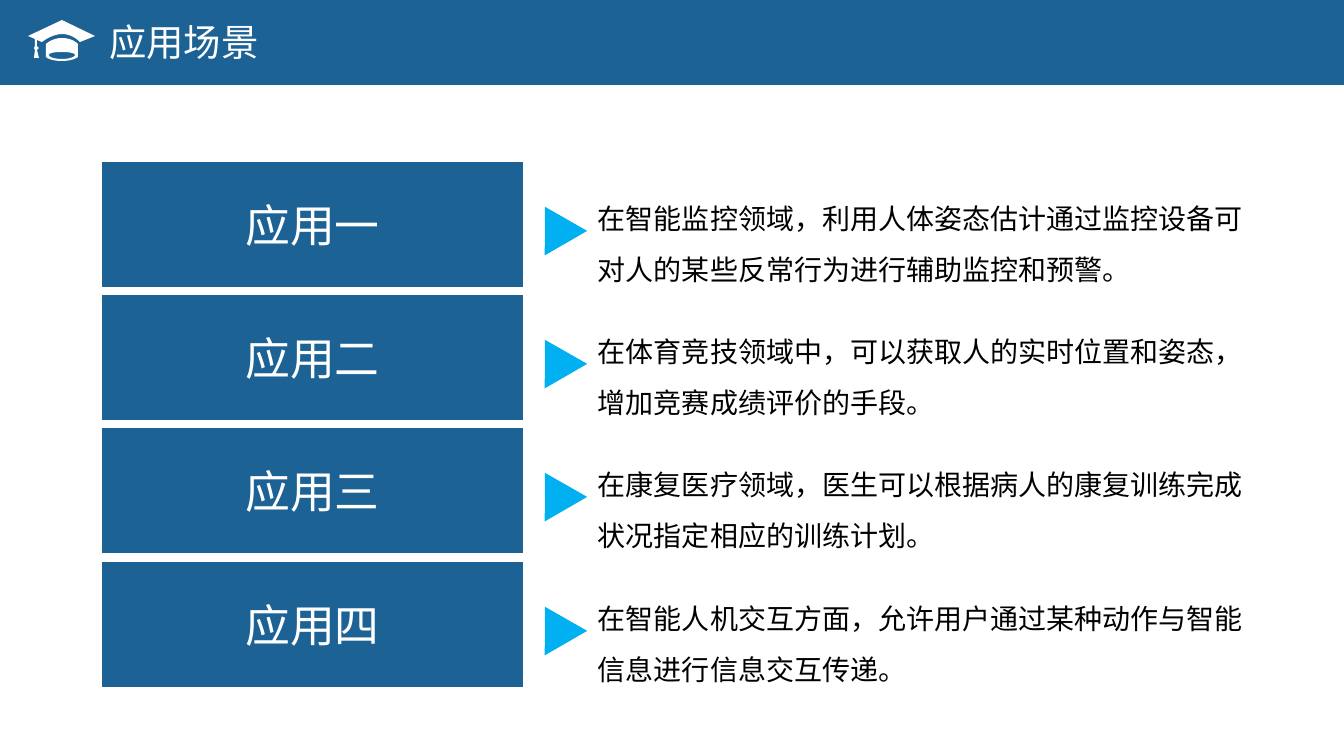
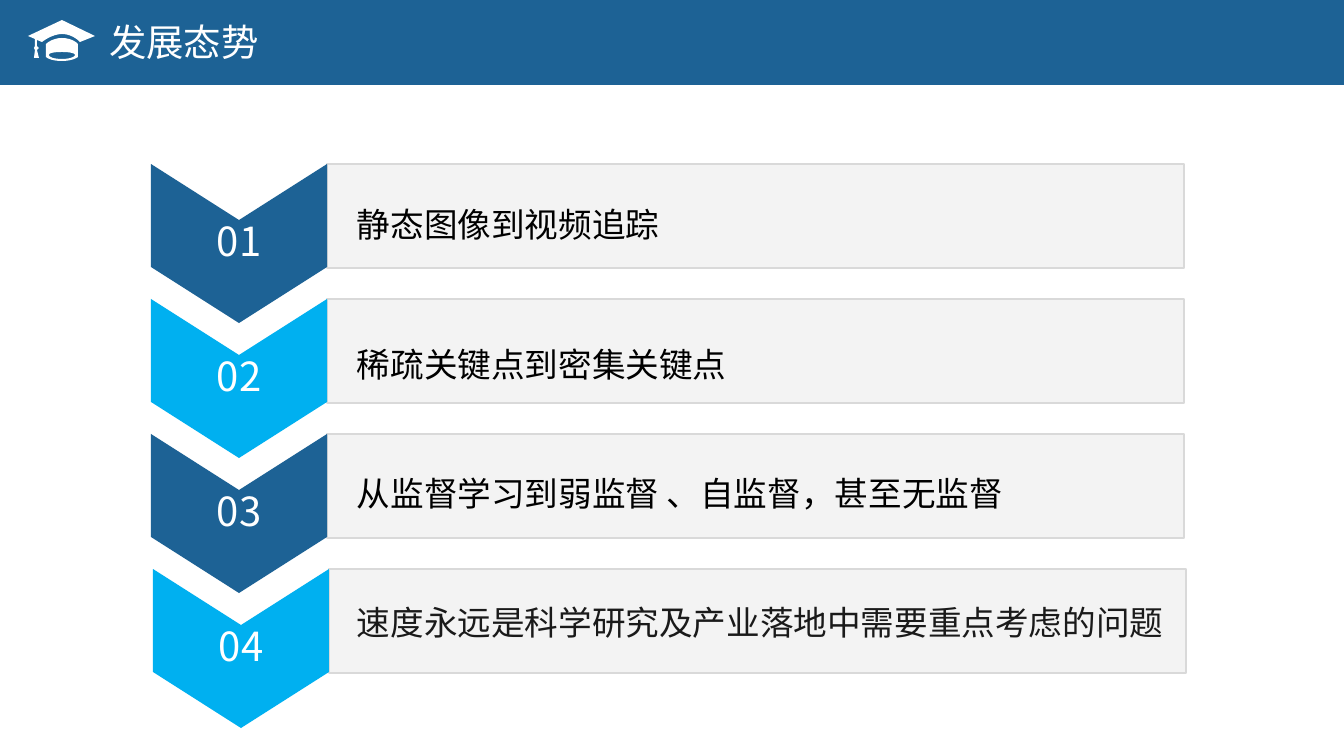
import lxml.etree
import pptx
import pptx.dml.color
import pptx.enum.shapes
import pptx.enum.text
import pptx.oxml.ns
import pptx.util

EMU_PER_PIXEL = 914400 / 100.8
COLORS = {"blue": "1D6295", "cyan": "00B0F0", "panel": "F2F2F2", "edge": "D9D9D9",
          "white": "FFFFFF", "black": "000000", "charcoal": "1A1A1A"}
MAIN_FONT = "Noto Sans CJK SC"
BODY_FONT = "Arial Narrow"
SHAPES = pptx.enum.shapes.MSO_SHAPE
ALIGN = pptx.enum.text.PP_ALIGN
ANCHOR = pptx.enum.text.MSO_ANCHOR

APPLICATIONS = [
    ("应用一", "在智能监控领域，利用人体姿态估计通过监控设备可对人的某些反常行为进行辅助监控和预警。"),
    ("应用二", "在体育竞技领域中，可以获取人的实时位置和姿态，增加竞赛成绩评价的手段。"),
    ("应用三", "在康复医疗领域，医生可以根据病人的康复训练完成状况指定相应的训练计划。"),
    ("应用四", "在智能人机交互方面，允许用户通过某种动作与智能信息进行信息交互传递。"),
]
# Text, text top, text width, row shift, text colour
TRENDS = [
    ("静态图像到视频追踪", 179, 759, 0, "black"),
    ("稀疏关键点到密集关键点", 319, 819, 0, "black"),
    ("从监督学习到弱监督 、自监督，甚至无监督", 448, 759, 0, "black"),
    ("速度永远是科学研究及产业落地中需要重点考虑的问题", 577, 847, 2, "charcoal"),
]
# Each contour is a list of steps: one point is a corner, three are a curve
CAP_CONTOURS = [
    [[(80, 42)], [(80, 42), (73, 34), (62, 34)], [(52, 34), (42, 42), (42, 42)],
     [(37, 40)], [(37, 46)], [(39, 48)], [(37, 50)], [(39, 58)], [(34, 58)],
     [(35, 50)], [(34, 48)], [(35, 46)], [(35, 39)], [(28, 36)], [(62, 20)], [(95, 36)]],
    [[(62, 38)], [(73, 38), (78, 44), (78, 44)], [(78, 57)], [(78, 57), (73, 61), (62, 61)],
     [(50, 61), (46, 57), (46, 57)], [(46, 44)], [(46, 44), (52, 38), (62, 38)]],
    [[(62, 59)], [(69, 59), (75, 57), (75, 55)], [(75, 53), (69, 52), (62, 52)],
     [(54, 52), (49, 53), (49, 55)], [(49, 57), (54, 59), (62, 59)]],
]


def px(value):
    return pptx.util.Emu(round(value * EMU_PER_PIXEL))


def rgb(name):
    return pptx.dml.color.RGBColor.from_string(COLORS[name])


def place(shape, left, top, width, height):
    shape.left, shape.top, shape.width, shape.height = map(px, (left, top, width, height))


def paint(shape, fill, line=None):
    shape.shadow.inherit = False
    shape.fill.solid()
    shape.fill.fore_color.rgb = rgb(fill)
    if line:
        shape.line.color.rgb = rgb(line)
        shape.line.width = pptx.util.Pt(1)
    else:
        shape.line.fill.background()


def write(shape, text, size, color, font=MAIN_FONT, align=ALIGN.LEFT,
          anchor=ANCHOR.TOP, spacing=None, before=None):
    frame = shape.text_frame
    frame.text = text
    frame.word_wrap = True
    frame.vertical_anchor = anchor
    paragraph = frame.paragraphs[0]
    paragraph.alignment = align
    paragraph.line_spacing = spacing
    if before:
        paragraph.space_before = pptx.util.Pt(before)
    for run in paragraph.runs:
        run.font.size = pptx.util.Pt(size)
        run.font.name = font
        run.font.color.rgb = rgb(color)
        east_asian = lxml.etree.SubElement(run.font._element, pptx.oxml.ns.qn("a:ea"))
        east_asian.set("typeface", font)


def add_box(slide, kind, bounds, fill, line=None):
    shape = slide.shapes.add_shape(kind, *map(px, bounds))
    paint(shape, fill, line)
    return shape


def add_text(slide, bounds, text, size, color, **style):
    box = slide.shapes.add_textbox(*map(px, bounds))
    write(box, text, size, color, **style)


def add_outline(slide, contours, fill):
    builder = None
    for contour in contours:
        points = [(px(x), px(y)) for x, y in contour]
        if builder is None:
            builder = slide.shapes.build_freeform(*points[0], scale=1.0)
        else:
            builder.move_to(*points[0])
        builder.add_line_segments(points[1:], close=True)
    shape = builder.convert_to_shape()
    paint(shape, fill)
    return shape


def flatten(contour, steps=8):
    """Turn the corners and cubic curves of a contour into points."""
    points = []
    for step in contour:
        if len(step) == 1:
            points.append(step[0])
            continue
        controls = [points[-1], *step]
        for index in range(1, steps + 1):
            t = index / steps
            weights = ((1 - t) ** 3, 3 * t * (1 - t) ** 2, 3 * t * t * (1 - t), t ** 3)
            points.append(tuple(sum(weight * point[axis] for weight, point in zip(weights, controls))
                                for axis in (0, 1)))
    return points


def set_up_layout(layout, slide):
    """Draw the band and cap, then move them behind the layout's title."""
    band = add_box(slide, SHAPES.RECTANGLE, (0, 0, 1344, 85), "blue")
    cap = add_outline(slide, [flatten(contour) for contour in CAP_CONTOURS], "white")
    for position, shape in enumerate((band, cap), start=2):
        layout.shapes.element.insert(position, shape.element)
    for placeholder in layout.placeholders:
        if placeholder.placeholder_format.idx == 0:
            place(placeholder, 99, 14, 425, 55)


def add_application(slide, row, name, description):
    top = 161 + row * 400 // 3
    block = add_box(slide, SHAPES.RECTANGLE, (101, top, 423, 127), "blue", "white")
    write(block, name, 32, "white", align=ALIGN.CENTER, anchor=ANCHOR.MIDDLE)
    pointer = add_box(slide, SHAPES.ISOSCELES_TRIANGLE, (531, top + 43, 49, 42), "cyan")
    pointer.rotation = 330
    add_text(slide, (588, top + 19, 681, 94), description, 20, "black",
             font=BODY_FONT, spacing=1.5, before=4)


def add_trend(slide, row, text, text_top, text_width, shift, color):
    top, left = 164 + row * 135, 151 + shift
    middle, right = left + 88, left + 176
    # Grey panel and its text
    panel = add_box(slide, SHAPES.RECTANGLE, (right, top, 857, 104), "panel", "edge")
    fill_color = panel.fill._xPr.find(".//" + pptx.oxml.ns.qn("a:srgbClr"))
    lxml.etree.SubElement(fill_color, pptx.oxml.ns.qn("a:alpha")).set("val", "90000")
    add_text(slide, (347, text_top, text_width, 65), text, 24, color, spacing=1.5)
    # Numbered chevron
    outline = [(right, top), (right, top + 103), (middle, top + 159),
               (left, top + 103), (left, top), (middle, top + 56)]
    chevron = add_outline(slide, [outline], "cyan" if row % 2 else "blue")
    write(chevron, f"{row + 1:02d}", 28.6, "white", align=ALIGN.CENTER,
          anchor=ANCHOR.MIDDLE, spacing=0.9)
    frame = chevron.text_frame
    frame.margin_left = frame.margin_right = px(2)
    frame.margin_top = frame.margin_bottom = px(62)


def main():
    presentation = pptx.Presentation()
    presentation.slide_width, presentation.slide_height = px(1344), px(756)
    layout = presentation.slide_layouts[5]
    sections = [("应用场景", add_application, APPLICATIONS),
                ("发展态势", add_trend, TRENDS)]
    for number, (title, add_row, rows) in enumerate(sections):
        slide = presentation.slides.add_slide(layout)
        if number == 0:
            set_up_layout(layout, slide)
        write(slide.shapes.title, title, 26.7, "white")
        for row, values in enumerate(rows):
            add_row(slide, row, *values)
    presentation.save("out.pptx")


main()
